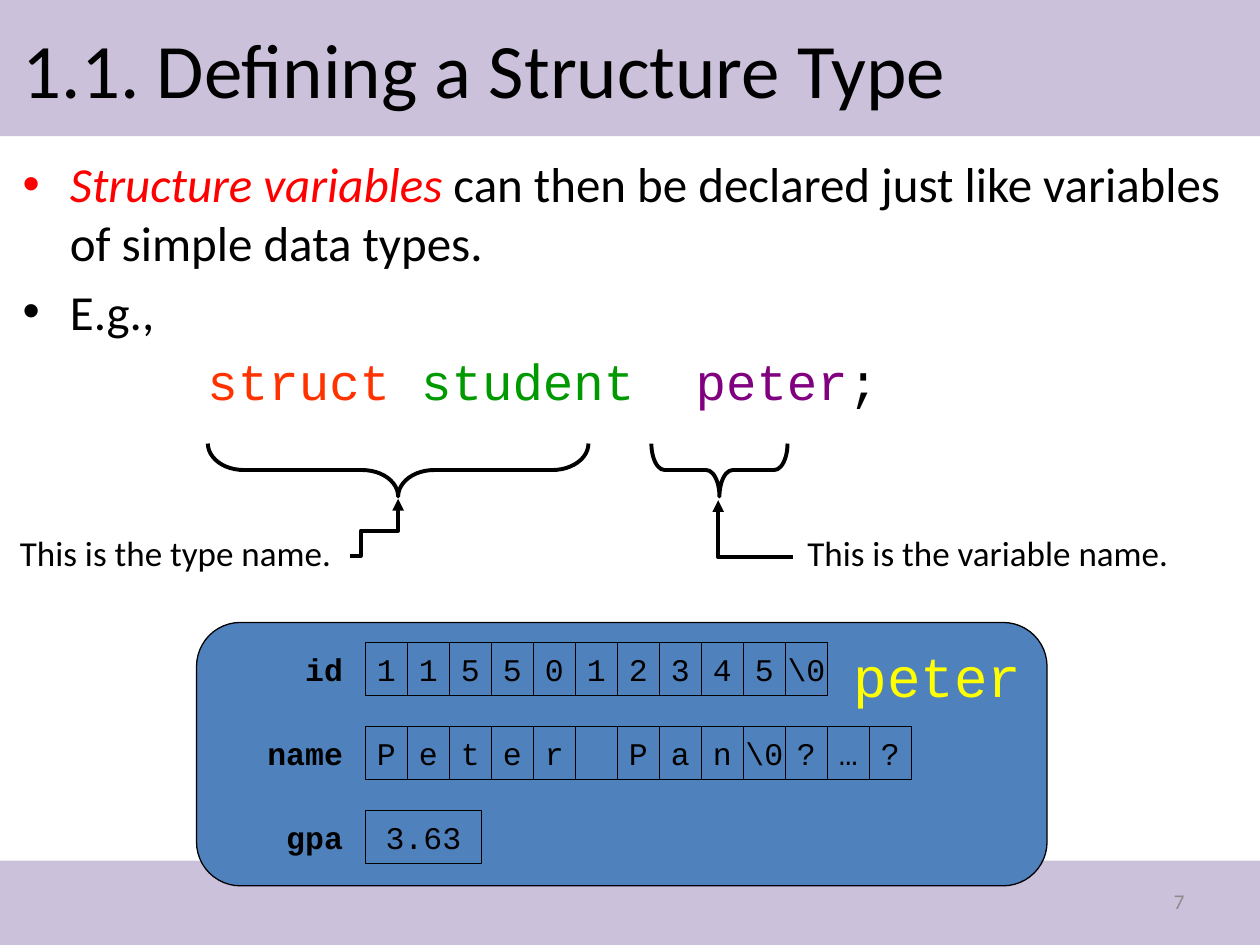
from dataclasses import dataclass

from lxml.etree import SubElement
from pptx import Presentation
from pptx.dml.color import RGBColor
from pptx.enum.shapes import MSO_CONNECTOR, MSO_SHAPE
from pptx.enum.text import MSO_ANCHOR, PP_ALIGN
from pptx.oxml.ns import qn
from pptx.util import Inches, Pt


@dataclass(frozen=True)
class Theme:
    """Colours, fonts and type sizes of the slide."""
    band: str = "CCC1DA"
    panel: str = "4F81BD"
    ink: str = "000000"
    term: str = "FF0000"
    keyword: str = "FF3300"
    tag: str = "009900"
    variable: str = "800080"
    highlight: str = "FFFF00"
    muted: str = "8C8C8C"
    sans: str = "Calibri"
    mono: str = "Courier New"
    title: int = 44
    body: int = 28
    code: int = 29
    instance: int = 32
    note: int = 20
    cell: int = 18
    number: int = 12
    thin: float = 0.75
    thick: float = 2.25


T = Theme()


def add_text(p, text, size=T.cell, font=T.sans, color=T.ink, bold=False, italic=False, align=None):
    """Append a formatted run to a paragraph."""
    r = p.add_run()
    r.text = text
    r.font.size, r.font.name = Pt(size), font
    r.font.bold, r.font.italic = bold, italic
    r.font.color.rgb = RGBColor.from_string(color)
    if align is not None:
        p.alignment = align


def place(sp, box):
    """Move a shape to a box given in inches."""
    sp.left, sp.top, sp.width, sp.height = map(Inches, box)


def set_line(sp, width, color=T.ink):
    """Give a shape or connector a solid line."""
    sp.line.color.rgb = RGBColor.from_string(color)
    sp.line.width = Pt(width)


def add_box(s, box, kind=MSO_SHAPE.RECTANGLE, fill=None, line=None):
    """Add a preset shape with optional fill and line."""
    sp = s.shapes.add_shape(kind, *map(Inches, box))
    sp.shadow.inherit = False
    if fill:
        sp.fill.solid()
        sp.fill.fore_color.rgb = RGBColor.from_string(fill)
    else:
        sp.fill.background()
    if line:
        set_line(sp, line)
    else:
        sp.line.fill.background()
    return sp


def add_label(s, box, text, anchor=MSO_ANCHOR.TOP, wrap=False, **fmt):
    """Add a text box holding one line."""
    tf = s.shapes.add_textbox(*map(Inches, box)).text_frame
    tf.word_wrap, tf.vertical_anchor = wrap, anchor
    add_text(tf.paragraphs[0], text, **fmt)


def add_band(s, box, number):
    """Add a coloured band behind everything on the slide master."""
    sp = add_box(s, box, fill=T.band)
    sp.element.nvSpPr.cNvPr.id = 100 + number
    s.slide_layout.slide_master.shapes.element.insert(2 + number, sp.element)


def add_title(s, box):
    """Fill the title placeholder."""
    sp = s.shapes.title
    place(sp, box)
    sp.text_frame.vertical_anchor = MSO_ANCHOR.MIDDLE
    add_text(sp.text_frame.paragraphs[0], "1.1. Defining a Structure Type",
             size=T.title, align=PP_ALIGN.LEFT)


def add_body(s, box):
    """Fill the body placeholder with the list and the declaration."""
    sp = s.placeholders[1]
    place(sp, box)
    tf = sp.text_frame
    p = tf.paragraphs[0]
    p.space_before = Pt(0)
    add_text(p, "Structure variables", size=T.body, color=T.term, italic=True)
    add_text(p, " can then be declared just like variables of simple data types.", size=T.body)
    add_text(tf.add_paragraph(), "E.g.,", size=T.body)
    p = tf.add_paragraph()
    p.level = 1
    SubElement(p._p.get_or_add_pPr(), qn("a:buNone"))
    for text, color in (("    struct ", T.keyword), ("student  ", T.tag),
                        ("peter", T.variable), (";", T.ink)):
        add_text(p, text, size=T.code, font=T.mono, color=color)


def add_brace(s, box, curve):
    """Add a brace that opens upward inside the box."""
    x, y, w, h = box
    upright = (x + (w - h) / 2, y + (h - w) / 2, h, w)
    sp = add_box(s, upright, MSO_SHAPE.LEFT_BRACE, line=T.thick)
    sp.adjustments[0], sp.adjustments[1] = curve, 0.5
    sp.rotation = 270


def add_elbow(s, begin, end, preset, bends=(), rotation=0):
    """Add a bent arrow."""
    c = s.shapes.add_connector(MSO_CONNECTOR.ELBOW, *map(Inches, begin + end))
    set_line(c, T.thick)
    spPr = c.element.spPr
    spPr.xfrm.rot = rotation
    geom = spPr.find(qn("a:prstGeom"))
    geom.set("prst", preset)
    guides = geom.find(qn("a:avLst"))
    for i, bend in enumerate(bends, 1):
        SubElement(guides, qn("a:gd"), name=f"adj{i}", fmla=f"val {round(bend * 100000)}")
    SubElement(spPr.find(qn("a:ln")), qn("a:tailEnd"), type="triangle")
    SubElement(spPr, qn("a:effectLst"))


def add_callouts(s, box):
    """Mark the type name and the variable name under the declaration."""
    x, y, w, h = box
    add_brace(s, (x + 1.59, y, 3.02, 0.42), 0.68)
    add_brace(s, (x + 5.11, y, 1.08, 0.42), 0.25)
    add_label(s, (x, y + h - 0.44, 2.7, 0.44), "This is the type name.", size=T.note)
    add_label(s, (x + w - 3.1, y + h - 0.44, 3.1, 0.44), "This is the variable name.", size=T.note)
    add_elbow(s, (x + 5.64, y + 0.45), (x + 6.23, y + 0.9), "bentConnector2", rotation=180)
    add_elbow(s, (x + 2.72, y + 0.89), (x + 3.1, y + 0.44), "bentConnector4", bends=(0.22, 0.44))


def add_cell(s, box, text, line=None, align=PP_ALIGN.CENTER, bold=False):
    """Add a memory cell or a member name."""
    tf = add_box(s, box, fill=T.panel, line=line).text_frame
    tf.word_wrap, tf.vertical_anchor = False, MSO_ANCHOR.MIDDLE
    if text:
        add_text(tf.paragraphs[0], text, font=T.mono, bold=bold, align=align)


def add_record(s, box):
    """Draw the structure variable with its members in rows of cells."""
    x, y, _, _ = box
    sp = add_box(s, box, MSO_SHAPE.ROUNDED_RECTANGLE, fill=T.panel, line=T.thin)
    tf = sp.text_frame
    tf.word_wrap, tf.vertical_anchor = False, MSO_ANCHOR.TOP
    add_text(tf.paragraphs[0], "peter", size=T.instance, font=T.mono,
             color=T.highlight, align=PP_ALIGN.RIGHT)
    pitch, height = 1 / 3, 0.42
    members = (("id", [*"1155012345", "\\0"], pitch),
               ("name", ["" if c == " " else c for c in "Peter Pan"] + ["\\0", "?", "…", "?"], pitch),
               ("gpa", ["3.63"], 0.92))
    for row, (name, values, width) in enumerate(members):
        top = y + 0.16 + row * 2 * pitch
        add_cell(s, (x + 0.34, top, 0.92, height), name, align=PP_ALIGN.RIGHT, bold=True)
        for col, value in enumerate(values):
            add_cell(s, (x + 1.34 + col * pitch, top, width, height), value, line=T.thin)


def main():
    """Build the slide and save it."""
    prs = Presentation()
    prs.slide_width, prs.slide_height = Inches(10), Inches(7.5)
    s = prs.slides.add_slide(prs.slide_layouts[1])
    for i, box in enumerate(((0, 0, 10, 1.08), (0, 6.83, 10, 0.67))):
        add_band(s, box, i)
    add_title(s, (0.08, 0.08, 9.84, 0.92))
    add_body(s, (0.08, 1.17, 9.77, 5.58))
    add_record(s, (1.56, 4.94, 6.75, 2.09))
    add_callouts(s, (0.06, 3.52, 9.35, 1.09))
    add_label(s, (7.17, 6.95, 2.33, 0.4), "7", anchor=MSO_ANCHOR.MIDDLE, wrap=True,
              size=T.number, color=T.muted, align=PP_ALIGN.RIGHT)
    prs.save("out.pptx")


if __name__ == "__main__":
    main()
